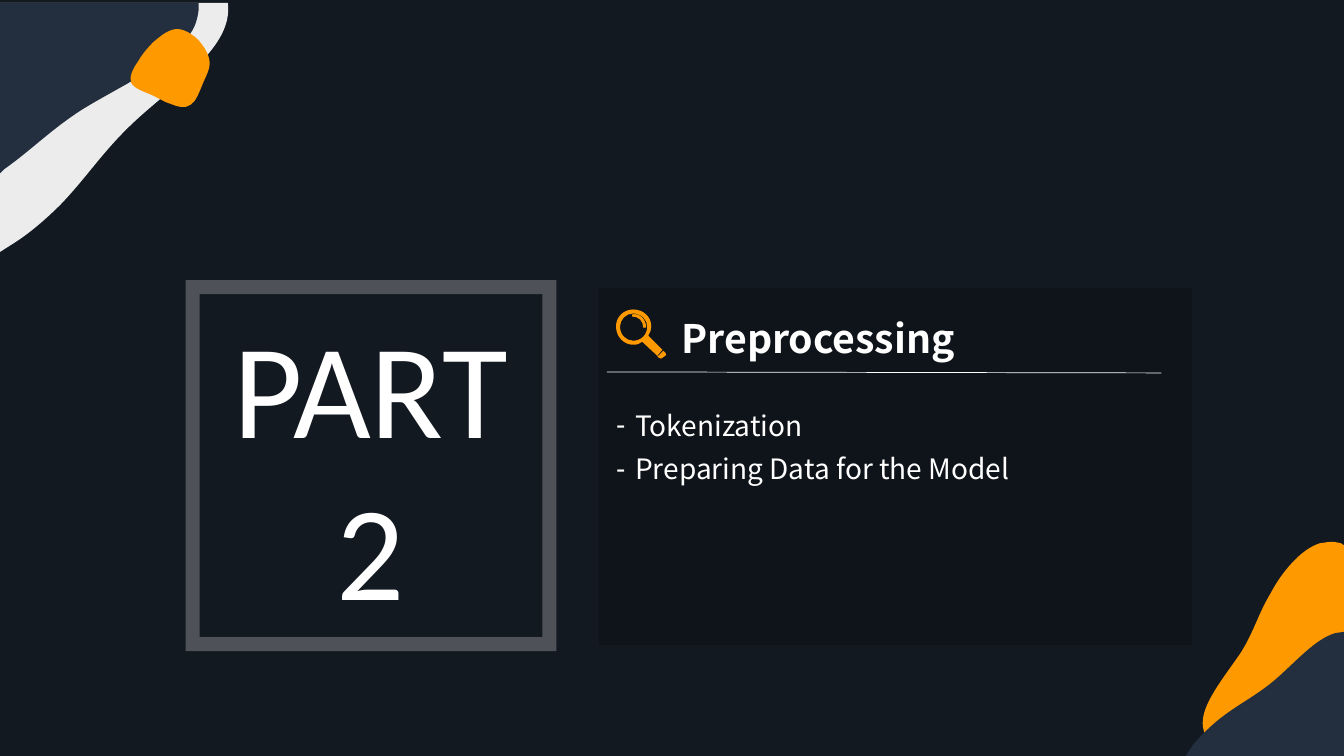
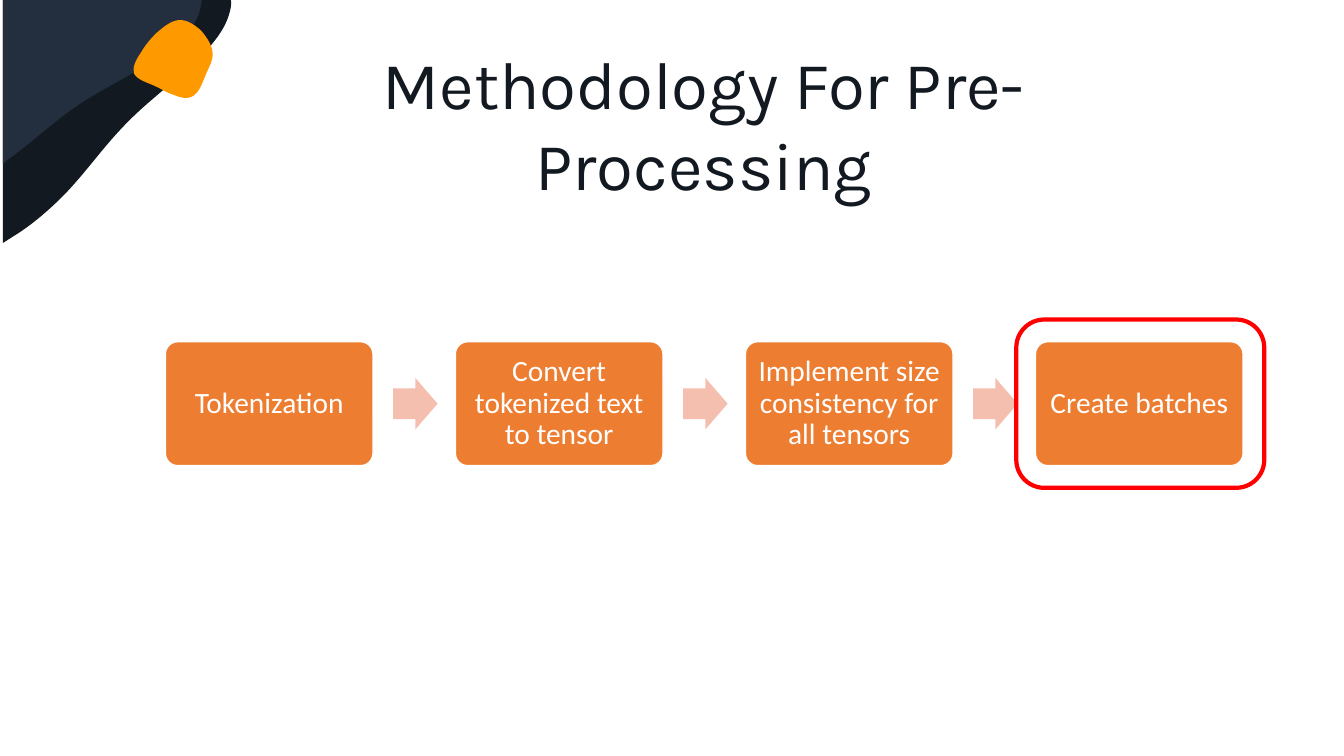
from dataclasses import dataclass

from pptx import Presentation
from pptx.dml.color import RGBColor
from pptx.enum.shapes import MSO_CONNECTOR, MSO_SHAPE
from pptx.enum.text import MSO_ANCHOR, MSO_AUTO_SIZE, PP_ALIGN
from pptx.oxml.ns import qn
from pptx.oxml.xmlchemy import OxmlElement
from pptx.util import Inches, Pt

RECT = MSO_SHAPE.RECTANGLE
ROUNDED = MSO_SHAPE.ROUNDED_RECTANGLE
ARROW = MSO_SHAPE.RIGHT_ARROW
STRAIGHT = MSO_CONNECTOR.STRAIGHT
TOP, MIDDLE = MSO_ANCHOR.TOP, MSO_ANCHOR.MIDDLE
LEFT, CENTER = PP_ALIGN.LEFT, PP_ALIGN.CENTER
FIXED = MSO_AUTO_SIZE.NONE


@dataclass(frozen=True)
class Theme:
    night: str = "131921"
    navy: str = "232F3E"
    amber: str = "FF9900"
    mist: str = "ECECEC"
    frame: str = "D9D9D9"
    white: str = "FFFFFF"
    black: str = "000000"
    step: str = "ED7D31"
    arrow: str = "F4BFAE"
    alert: str = "FF0000"
    plain_font: str = "Calibri"
    list_font: str = "Noto Sans CJK SC"
    title_font: str = "Karla"
    part_size: int = 96
    title_size: int = 48
    heading_size: int = 28
    step_size: int = 21
    list_size: int = 20


@dataclass(frozen=True)
class Box:
    x: float
    y: float
    w: float
    h: float

    def inner(self, dx, dy, w, h):
        return Box(self.x + dx, self.y + dy, w, h)

    def emu(self):
        return [Inches(v) for v in (self.x, self.y, self.w, self.h)]


THEME = Theme()
PAGE = Box(0, 0, 13.33, 7.5)

CORNER_BAND = [
    (0, 0), (2.26, 0), (2.27, 0.08, 2.26, 0.16, 2.23, 0.24),
    (2.11, 0.57, 1.64, 0.89, 1.33, 1.18), (1.02, 1.47, 0.87, 1.72, 0.6, 2),
    (0.46, 2.14, 0.29, 2.29, 0.11, 2.4), (0, 2.47),
]
CORNER_FIELD = [
    (0, 0), (1.97, 0), (1.97, 0.07), (1.96, 0.15, 1.94, 0.23, 1.89, 0.3),
    (1.71, 0.6, 1.18, 0.83, 0.81, 1.06), (0.5, 1.26, 0.31, 1.46, 0.04, 1.65),
    (0, 1.69),
]
CORNER_PEBBLE = [
    (1.69, 1), (1.62, 0.98, 1.57, 0.94, 1.5, 0.91),
    (1.43, 0.88, 1.33, 0.85, 1.3, 0.79), (1.28, 0.73, 1.32, 0.65, 1.37, 0.58),
    (1.41, 0.51, 1.46, 0.45, 1.52, 0.39), (1.59, 0.33, 1.66, 0.27, 1.74, 0.26),
    (1.82, 0.25, 1.91, 0.31, 1.97, 0.37), (2.03, 0.44, 2.08, 0.52, 2.08, 0.6),
    (2.08, 0.67, 2.03, 0.75, 2, 0.83), (1.97, 0.9, 1.94, 0.98, 1.89, 1.01),
    (1.84, 1.05, 1.76, 1.03, 1.69, 1),
]
HILL_BACK = [
    (1.41, 0.03), (1.46, 0.02, 1.51, 0.03, 1.55, 0.04), (1.58, 0.06),
    (1.58, 1.9), (1.46, 2.05), (1.4, 2.12, 1.38, 2.14, 1.36, 2.15),
    (0.39, 2.15), (0.28, 2.05),
    (0.21, 1.98, 0.17, 1.89, 0.18, 1.79), (0.2, 1.59, 0.42, 1.33, 0.56, 1.12),
    (0.69, 0.91, 0.73, 0.74, 0.85, 0.54), (0.96, 0.33, 1.15, 0.1, 1.34, 0.04),
    (1.36, 0.04, 1.39, 0.03, 1.41, 0.03),
]
HILL_FRONT = [
    (1.57, 0.92), (1.58, 0.92), (1.58, 2.15), (0.01, 2.15), (0.09, 2.03),
    (0.17, 1.94, 0.26, 1.85, 0.35, 1.78), (0.54, 1.63, 0.7, 1.56, 0.89, 1.4),
    (1.08, 1.24, 1.3, 0.98, 1.5, 0.93), (1.52, 0.93, 1.55, 0.92, 1.57, 0.92),
]
LENS_CAP = [
    (0.47, 0.41), (0.49, 0.43), (0.5, 0.44, 0.5, 0.45, 0.49, 0.46),
    (0.46, 0.48), (0.45, 0.49, 0.44, 0.49, 0.43, 0.48), (0.41, 0.47),
]
LENS_GLINT = [
    (0.16, 0.05), (0.19, 0.04, 0.23, 0.05, 0.26, 0.08),
    (0.28, 0.1, 0.3, 0.14, 0.3, 0.18), (0.27, 0.18),
    (0.27, 0.15, 0.26, 0.12, 0.24, 0.1), (0.22, 0.08, 0.19, 0.07, 0.16, 0.07),
]
LENS_HOLE = [
    (0.17, 0.04), (0.1, 0.04, 0.04, 0.1, 0.04, 0.17),
    (0.04, 0.25, 0.1, 0.31, 0.17, 0.31), (0.25, 0.31, 0.31, 0.25, 0.31, 0.17),
    (0.31, 0.1, 0.25, 0.04, 0.17, 0.04),
]
LENS_BODY = [
    (0.17, 0), (0.27, 0, 0.35, 0.07, 0.35, 0.17),
    (0.35, 0.2, 0.34, 0.23, 0.32, 0.26), (0.46, 0.4), (0.41, 0.46),
    (0.26, 0.32), (0.24, 0.34, 0.21, 0.35, 0.17, 0.35),
    (0.08, 0.35, 0, 0.27, 0, 0.17), (0, 0.07, 0.08, 0, 0.17, 0),
]


def rgb(color):
    return RGBColor.from_string(color)


def paint(shape, fill=None, line=None, width=1):
    shape.shadow.inherit = False
    if fill:
        shape.fill.solid()
        shape.fill.fore_color.rgb = rgb(fill)
    else:
        shape.fill.background()
    if line:
        shape.line.color.rgb = rgb(line)
        shape.line.width = Pt(width)
    else:
        shape.line.fill.background()
    return shape


def draw(slide, kind, box, fill=None, line=None, width=1, adjust=()):
    shape = paint(slide.shapes.add_shape(kind, *box.emu()), fill, line, width)
    for index, value in enumerate(adjust):
        shape.adjustments[index] = value
    return shape


def fade(shape, percent):
    for color in shape._element.spPr.iter(qn("a:srgbClr")):
        alpha = OxmlElement("a:alpha")
        alpha.set("val", str(percent * 1000))
        color.append(alpha)


def square_corners(shape):
    miter = OxmlElement("a:miter")
    miter.set("lim", "800000")
    shape._element.spPr.find(qn("a:ln")).append(miter)


def bend(segments):
    curve = OxmlElement("a:cubicBezTo")
    segments[0].addprevious(curve)
    for segment in segments:
        curve.append(segment[0])
        segment.getparent().remove(segment)


def draw_outline(slide, box, fill, *outlines):
    def points(part):
        return [(Inches(box.x + x), Inches(max(0, box.y + y)))
                for x, y in zip(part[::2], part[1::2])]

    builder = slide.shapes.build_freeform(*points(outlines[0][0])[0])
    for index, outline in enumerate(outlines):
        if index:
            builder.move_to(*points(outline[0])[0])
        builder.add_line_segments(
            [point for part in outline[1:] for point in points(part)], close=True)
    shape = paint(builder.convert_to_shape(), fill)
    segments = iter(list(shape._element.spPr.iter(qn("a:lnTo"))))
    for outline in outlines:
        for part in outline[1:]:
            group = [next(segments) for _ in part[::2]]
            if len(group) == 3:
                bend(group)


def write(shape, text, font, size, color, align=CENTER, anchor=MIDDLE,
          bold=False, spacing=1.0, margins=(0.1, 0.05)):
    frame = shape.text_frame
    frame.text = text
    frame.word_wrap = True
    frame.auto_size = FIXED
    frame.vertical_anchor = anchor
    frame.margin_left = frame.margin_right = Inches(margins[0])
    frame.margin_top = frame.margin_bottom = Inches(margins[1])
    for paragraph in frame.paragraphs:
        paragraph.alignment = align
        paragraph.line_spacing = spacing
        paragraph.space_before = paragraph.space_after = Pt(0)
        for run in paragraph.runs:
            run.font.name = font
            run.font.size = Pt(size)
            run.font.bold = bold
            run.font.color.rgb = rgb(color)


def bring_forward(slide, placeholder, box):
    placeholder.left, placeholder.top, placeholder.width, placeholder.height = box.emu()
    slide.shapes._spTree.append(placeholder._element)
    return placeholder


def dash_bullets(placeholder, indent):
    for paragraph in placeholder.text_frame.paragraphs:
        properties = paragraph._p.get_or_add_pPr()
        properties.set("marL", str(Inches(indent)))
        properties.set("indent", str(-Inches(indent)))
        bullet = OxmlElement("a:buChar")
        bullet.set("char", "-")
        properties.append(bullet)


def corner_art(slide, box, band):
    draw_outline(slide, box, band, CORNER_BAND)
    draw_outline(slide, box, THEME.navy, CORNER_FIELD)
    draw_outline(slide, box, THEME.amber, CORNER_PEBBLE)


def hill_art(slide, box):
    draw_outline(slide, box, THEME.amber, HILL_BACK)
    draw_outline(slide, box, THEME.navy, HILL_FRONT)


def part_frame(slide, box, label):
    frame = draw(slide, RECT, box, line=THEME.frame, width=10)
    fade(frame, 30)
    square_corners(frame)
    write(frame, label, THEME.plain_font, THEME.part_size, THEME.white)


def topic_panel(slide, box, heading, topics):
    fade(draw(slide, RECT, box, THEME.black), 20)
    title = bring_forward(slide, slide.shapes.title, box.inner(0.72, 0.21, 5.1, 0.57))
    write(title, heading, THEME.list_font, THEME.heading_size, THEME.white,
          LEFT, TOP, bold=True)
    left, right = Inches(box.x + 0.08), Inches(box.x + 5.58)
    rule = slide.shapes.add_connector(
        STRAIGHT, left, Inches(box.y + 0.83), right, Inches(box.y + 0.84))
    rule.line.color.rgb = rgb(THEME.white)
    rule.line.width = Pt(0.5)
    rule._element.spPr.append(OxmlElement("a:effectLst"))
    body = bring_forward(slide, slide.placeholders[1], box.inner(0.07, 1.04, 5.09, 0.93))
    write(body, "\n".join(topics), THEME.list_font, THEME.list_size, THEME.white,
          LEFT, TOP, spacing=1.3)
    dash_bullets(body, 0.19)
    draw_outline(slide, box.inner(0.17, 0.21, 0.5, 0.5), THEME.amber,
                 LENS_CAP, LENS_GLINT, LENS_HOLE, LENS_BODY)


def step_chain(slide, box, labels):
    width, arrow_width, arrow_height = 2.06, 0.44, 0.51
    pitch = (box.w - width) / (len(labels) - 1)
    for index, label in enumerate(labels):
        left = index * pitch
        step = draw(slide, ROUNDED, box.inner(left, 0, width, box.h),
                    THEME.step, THEME.white, adjust=(0.1,))
        write(step, label, THEME.plain_font, THEME.step_size, THEME.white,
              spacing=0.9, margins=(0.08, 0.08))
        if index < len(labels) - 1:
            draw(slide, ARROW,
                 box.inner(left + width + 0.2, (box.h - arrow_height) / 2,
                           arrow_width, arrow_height),
                 THEME.arrow, adjust=(0.6, 0.5))
    draw(slide, ROUNDED, box.inner(box.w - width - 0.19, -0.22, 2.46, box.h + 0.44),
         line=THEME.alert, width=3)


def new_slide(deck, layout, background):
    slide = deck.slides.add_slide(deck.slide_layouts[layout])
    slide.background.fill.solid()
    slide.background.fill.fore_color.rgb = rgb(background)
    return slide


def part_slide(deck):
    slide = new_slide(deck, 1, THEME.night)
    topic_panel(slide, Box(5.94, 2.86, 5.88, 3.54), "Preprocessing",
                ["Tokenization", "Preparing Data for the Model"])
    part_frame(slide, Box(1.91, 2.85, 3.54, 3.54), "PART\n2")
    corner_art(slide, Box(0, 0.03, 2.26, 2.47), THEME.mist)
    hill_art(slide, Box(PAGE.w - 1.58, PAGE.h - 2.15, 1.58, 2.15))


def method_slide(deck):
    slide = new_slide(deck, 5, THEME.white)
    corner_art(slide, Box(0.03, -0.06, 2.26, 2.47), THEME.night)
    title = bring_forward(slide, slide.shapes.title, Box(2.48, 0.37, 9, 1.72))
    write(title, "Methodology For Pre-Processing", THEME.title_font,
          THEME.title_size, THEME.night, anchor=TOP)
    step_chain(slide, Box(1.64, 3.39, 10.69, 1.23),
               ["Tokenization", "Convert tokenized text to tensor",
                "Implement size consistency for all tensors", "Create batches"])


def main():
    deck = Presentation()
    deck.slide_width, deck.slide_height = PAGE.emu()[2:]
    part_slide(deck)
    method_slide(deck)
    deck.save("out.pptx")


if __name__ == "__main__":
    main()
